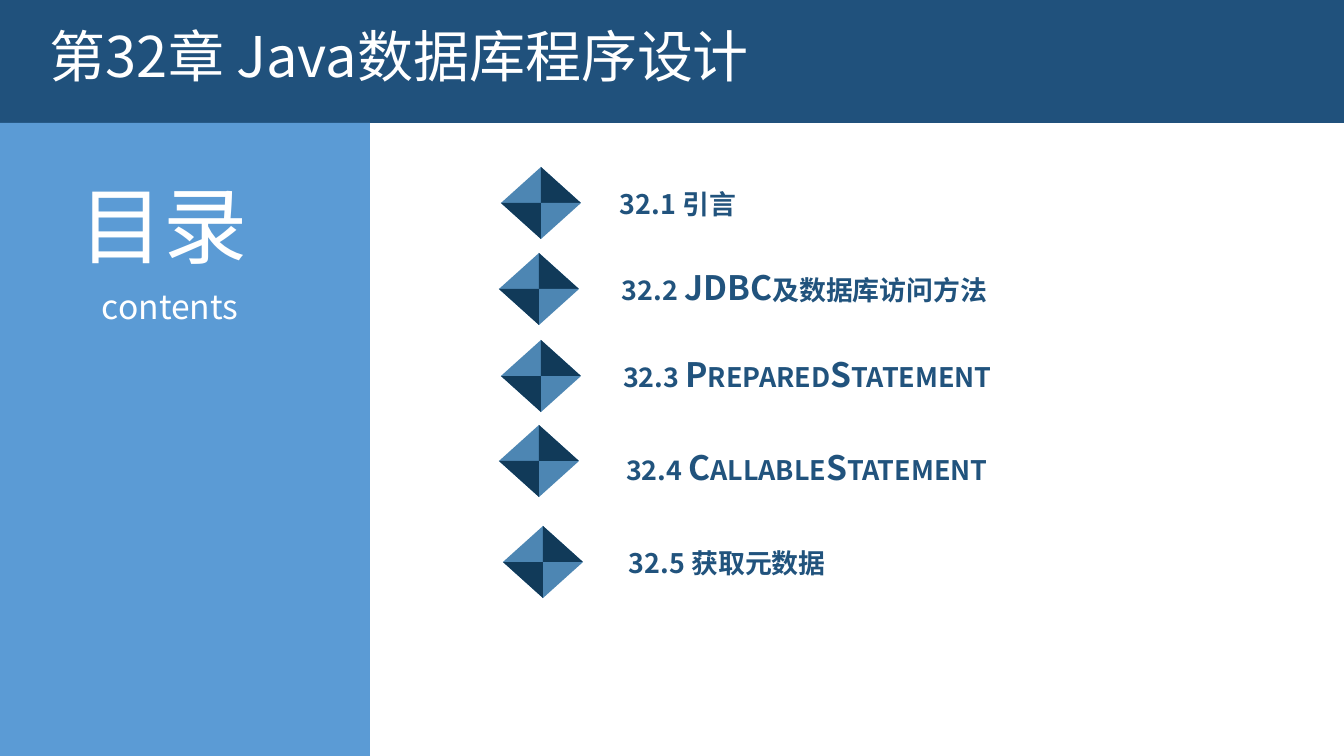
from pptx import Presentation
from pptx.dml.color import RGBColor
from pptx.enum.shapes import MSO_SHAPE
from pptx.enum.text import MSO_AUTO_SIZE, PP_ALIGN
from pptx.oxml.ns import qn
from pptx.util import Pt
from lxml.etree import SubElement

EMU_PER_PX = 914400 / 100.8
FONT = "Noto Sans CJK SC"
COLORS = {
    "header": "20517C",
    "sidebar": "5B9BD5",
    "facet_light": "4D86B3",
    "facet_dark": "113A59",
    "entry": "21537D",
    "white": "FFFFFF",
}
HALF_WIDTH, HALF_HEIGHT = 40, 36

# text, diamond (left, top), text box (left, top, width)
ENTRIES = [
    ("32.1 引言", (501, 167), (612, 177, 594)),
    ("32.2 JDBC及数据库访问方法", (499, 253), (614, 263, 469)),
    ("32.3 PreparedStatement", (501, 340), (615, 350, 543)),
    ("32.4 CallableStatement", (499, 425), (618, 443, 617)),
    ("32.5 获取元数据", (503, 526), (621, 536, 521)),
]


def px(*lengths):
    return [round(length * EMU_PER_PX) for length in lengths]


def paint(shape, color):
    shape.shadow.inherit = False
    shape.fill.solid()
    shape.fill.fore_color.rgb = RGBColor.from_string(COLORS[color])
    shape.line.fill.background()


def add_panel(page, bounds, color):
    paint(page.shapes.add_shape(MSO_SHAPE.RECTANGLE, *px(*bounds)), color)


def add_text(page, text, bounds, size, color="white", align=PP_ALIGN.LEFT,
             insets=(10, 5), heading=False):
    """Add a one-paragraph box; a heading is bold and in small capitals."""
    frame = page.shapes.add_textbox(*px(*bounds)).text_frame
    frame.word_wrap = True
    frame.auto_size = MSO_AUTO_SIZE.SHAPE_TO_FIT_TEXT
    across, down = px(*insets)
    frame.margin_left = frame.margin_right = across
    frame.margin_top = frame.margin_bottom = down
    paragraph = frame.paragraphs[0]
    paragraph.text = text
    paragraph.alignment = align
    font = paragraph.font
    font.size = Pt(size)
    font.name = FONT
    font.color.rgb = RGBColor.from_string(COLORS[color])
    properties = paragraph._p.pPr.find(qn("a:defRPr"))
    SubElement(properties, qn("a:ea")).set("typeface", FONT)
    if heading:
        font.bold = True
        properties.set("cap", "small")


def add_diamond(page, left, top):
    """Add two light triangles, each half covered by a dark facet."""
    shapes = page.shapes.add_group_shape().shapes
    center, middle = left + HALF_WIDTH, top + HALF_HEIGHT
    for direction, half_top, rotation in ((1, top, 0), (-1, middle, 180)):
        triangle = shapes.add_shape(
            MSO_SHAPE.ISOSCELES_TRIANGLE,
            *px(left, half_top, 2 * HALF_WIDTH, HALF_HEIGHT))
        triangle.rotation = rotation
        paint(triangle, "facet_light")
        builder = shapes.build_freeform(
            center, middle - direction * HALF_HEIGHT, EMU_PER_PX)
        builder.add_line_segments(
            [(center, middle), (center + direction * HALF_WIDTH, middle)])
        paint(builder.convert_to_shape(), "facet_dark")


def main():
    deck = Presentation()
    deck.slide_width, deck.slide_height = px(1344, 756)
    page = deck.slides.add_slide(deck.slide_layouts[6])

    add_panel(page, (-1, -1, 1346, 124), "header")
    add_panel(page, (0, 123, 370, 633), "sidebar")
    add_text(page, "目录", (69, 169, 221, 112), 60, align=PP_ALIGN.JUSTIFY)
    add_text(page, "contents", (92, 281, 175, 51), 24, align=PP_ALIGN.JUSTIFY)
    add_text(page, "第32章 Java数据库程序设计", (40, 17, 1023, 78), 40)

    for text, diamond, (left, top, width) in ENTRIES:
        add_diamond(page, *diamond)
        add_text(page, text, (left, top, width, 48), 24, "entry",
                 insets=(8, 4), heading=True)

    deck.save("out.pptx")


if __name__ == "__main__":
    main()
